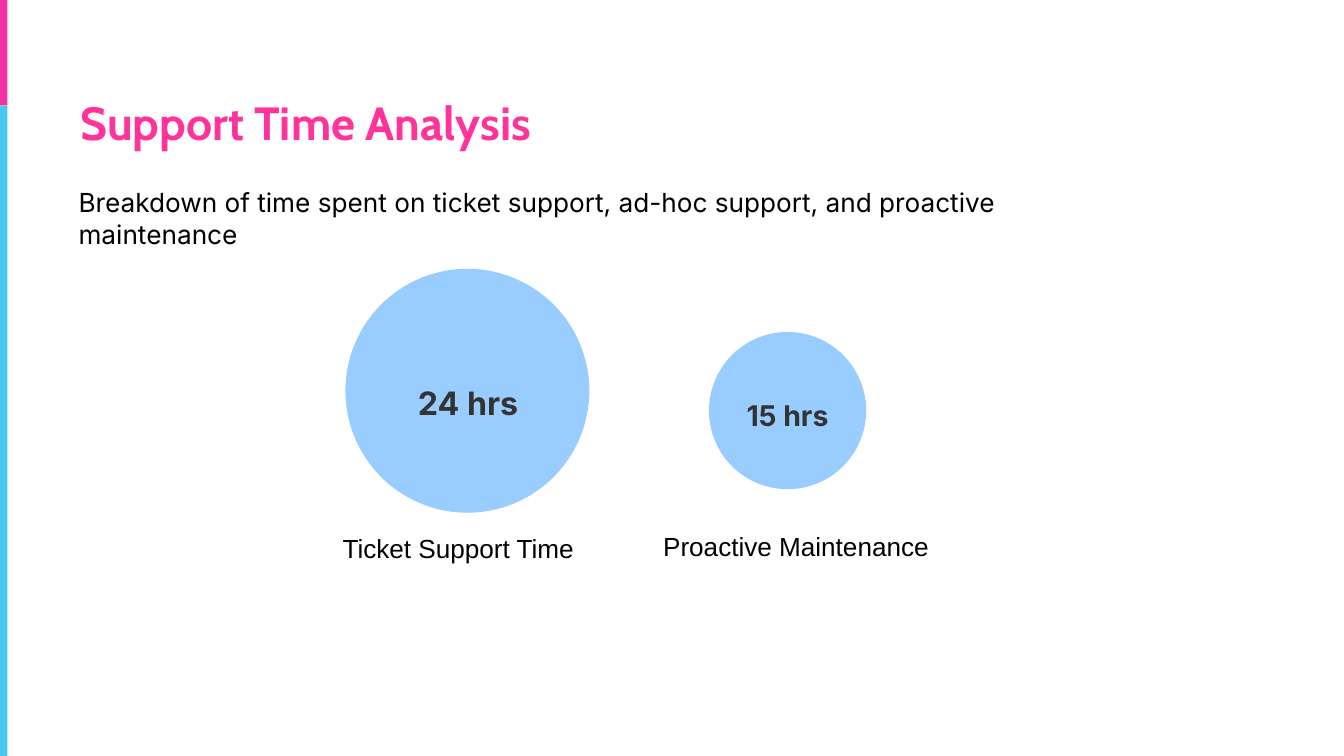
from pptx import Presentation
from pptx import util as u
from pptx.dml.color import RGBColor
from pptx.enum import shapes, text

PX = 9144  # EMU per px, 100 px to the inch
PINK, SKY, BLUE = "FF3399", "4BC8EE", "99CCFF"
DARK, BLACK = "333333", "000000"


def px(*sizes):
    return [u.Emu(size * PX) for size in sizes]


def color(code):
    return RGBColor.from_string(code)


def add_form(slide, kind, box, fill):
    form = slide.shapes.add_shape(kind, *px(*box))
    form.shadow.inherit = False
    form.fill.solid()
    form.fill.fore_color.rgb = color(fill)
    form.line.fill.background()


def add_text(slide, box, words, font, size, tint,
             bold=False, center=False, pad=(0, 0), lead=None):
    frame = slide.shapes.add_textbox(*px(*box)).text_frame
    frame.word_wrap = True
    frame.margin_left = frame.margin_right = px(pad[0])[0]
    frame.margin_top = frame.margin_bottom = px(pad[1])[0]
    para = frame.paragraphs[0]
    para.alignment = text.PP_ALIGN.CENTER if center else text.PP_ALIGN.LEFT
    if lead:
        para.line_spacing = lead
    run = para.add_run()
    run.text = words
    run.font.name = font
    run.font.size = u.Pt(size)
    run.font.bold = bold
    run.font.color.rgb = color(tint)


def add_bubble(slide, circle, box, hours, size):
    left, top, side = circle
    add_form(slide, shapes.MSO_SHAPE.OVAL, (left, top, side, side), BLUE)
    add_text(slide, box, hours, "Inter", size, DARK,
             bold=True, center=True, lead=1.4)


def add_label(slide, box, words, font="Arial", size=28):
    add_text(slide, box, words, font, size, BLACK, pad=(10, 5))


def main():
    deck = Presentation()
    deck.slide_width, deck.slide_height = px(2000, 1125)
    slide = deck.slides.add_slide(deck.slide_layouts[6])

    # Side stripe
    rect = shapes.MSO_SHAPE.RECTANGLE
    add_form(slide, rect, (0, 157, 11, 968), SKY)
    add_form(slide, rect, (0, 0, 11, 157), "EF33A2")

    # Title
    add_text(slide, (120, 107, 836, 97), "Support Time Analysis",
             "Cabin", 49.8, PINK, bold=True, lead=1.4)

    # Hours as bubbles
    add_bubble(slide, (514, 400, 363), (607, 548, 179, 87), "24 hrs", 34.5)
    add_bubble(slide, (1055, 494, 234), (929, 572, 486, 159), "15 hrs", 30.5)

    # Bubble labels
    add_label(slide, (500, 787, 406, 56), "Ticket Support Time")
    add_label(slide, (977, 785, 466, 57), "Proactive Maintenance")

    # Subtitle
    add_label(slide, (107, 273, 1551, 56),
              "Breakdown of time spent on ticket support, ad-hoc support, "
              "and proactive maintenance", "Inter", 28.1)

    deck.save("out.pptx")


if __name__ == "__main__":
    main()
